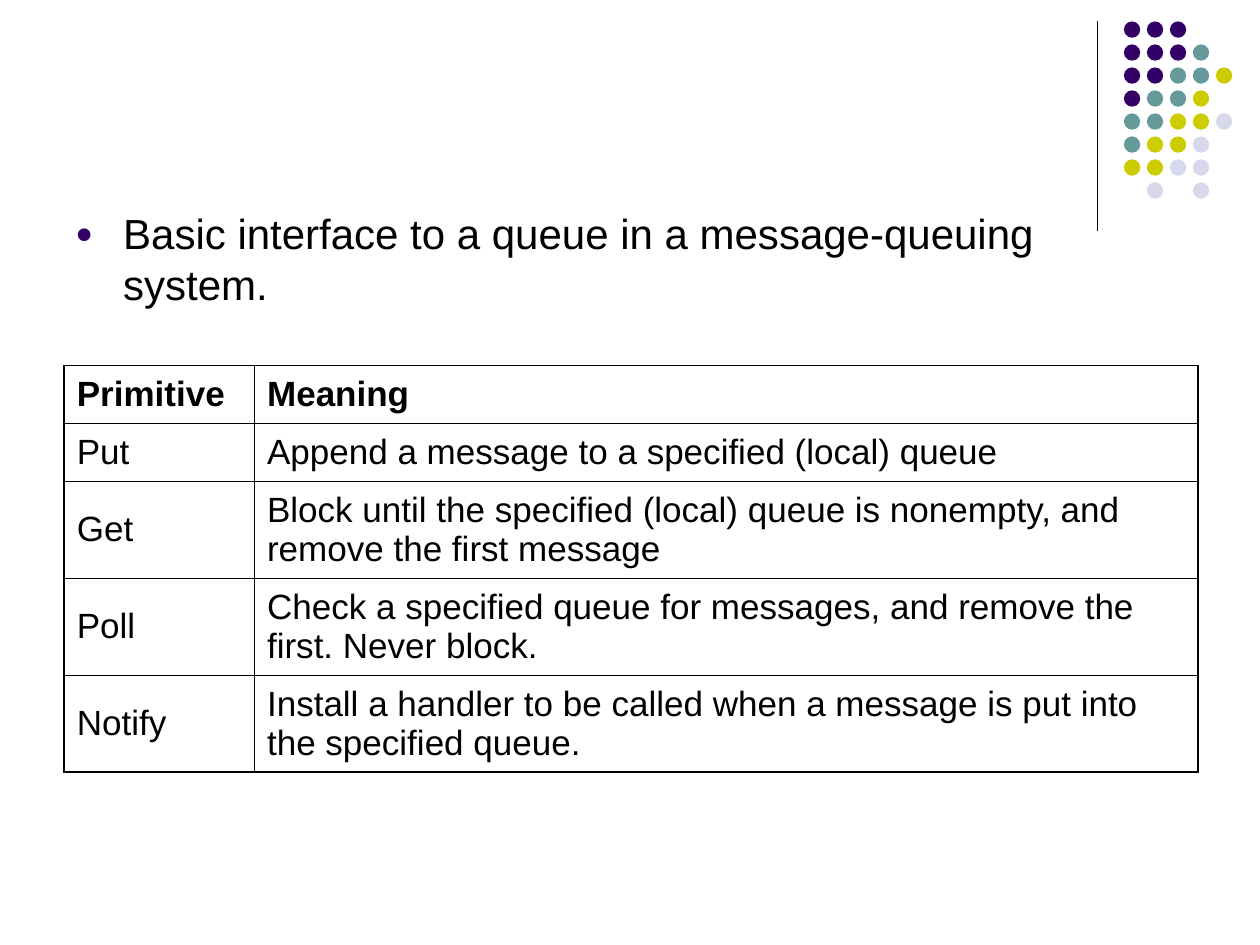
from lxml.etree import SubElement
from pptx import Presentation
from pptx.dml.color import RGBColor
from pptx.enum.shapes import MSO_CONNECTOR as Connector, MSO_SHAPE as Shape
from pptx.enum.text import MSO_ANCHOR as Anchor
from pptx.oxml.ns import qn
from pptx.util import Emu, Inches, Pt

COLORS = {"ink": "000000", "purple": "330066", "teal": "669999",
          "lime": "CCCC00", "lilac": "D8D8EC"}
FONT = "Arial"
DOT_COLORS = {"p": "purple", "t": "teal", "y": "lime", "l": "lilac"}
DOT_ROWS = ["ppp", "pppt", "pptty", "ptty", "ttyyl", "tyyl", "yyll", " l l"]
PRIMITIVES = [
    ("Primitive", "Meaning"),
    ("Put", "Append a message to a specified (local) queue"),
    ("Get", "Block until the specified (local) queue is nonempty, and remove the first message"),
    ("Poll", "Check a specified queue for messages, and remove the first. Never block."),
    ("Notify", "Install a handler to be called when a message is put into the specified queue."),
]
OUTER, INNER = Pt(1.08), Pt(0.45)


def color(name):
    return RGBColor.from_string(COLORS[name])


def style(paragraph, size, bold=False):
    for run in paragraph.runs:
        run.font.name = FONT
        run.font.size = Pt(size)
        run.font.bold = bold
        run.font.color.rgb = color("ink")


def add_ornament(slide, left, top, width, height):
    """Vertical rule at the left edge, with the dot grid to its right."""
    rule = slide.shapes.add_connector(Connector.STRAIGHT, left, top, left, top + height)
    rule.line.color.rgb = color("ink")
    rule.line.width = Pt(0.75)
    SubElement(rule._element.spPr, qn("a:effectLst"))

    dots = slide.shapes.add_group_shape()
    diameter = Inches(0.13)
    grid_left = left + Inches(0.21)
    pitch = (left + width - diameter - grid_left) / 4
    for row, codes in enumerate(DOT_ROWS):
        for column, code in enumerate(codes):
            if code == " ":
                continue
            dot = dots.shapes.add_shape(
                Shape.OVAL, Emu(int(grid_left + column * pitch)),
                Emu(int(top + row * pitch)), diameter, diameter)
            dot.shadow.inherit = False
            dot.fill.solid()
            dot.fill.fore_color.rgb = color(DOT_COLORS[code])
            dot.line.fill.background()


def add_statement(slide, left, top, width, height):
    frame = slide.shapes.add_textbox(left, top, width, height).text_frame
    frame.word_wrap = True
    statement = frame.paragraphs[0]
    statement.text = "Basic interface to a queue in a message-queuing system."
    properties = statement._p.get_or_add_pPr()
    indent = Inches(0.38)
    properties.set("marL", str(indent))
    properties.set("indent", str(-indent))
    bullet_color = SubElement(properties, qn("a:buClr"))
    SubElement(bullet_color, qn("a:srgbClr"), val=COLORS["purple"])
    SubElement(properties, qn("a:buSzPct"), val="70000")
    SubElement(properties, qn("a:buFont"), typeface=FONT)
    SubElement(properties, qn("a:buChar"), char="●")
    style(statement, 24)


def set_borders(cell, widths):
    properties = cell._tc.get_or_add_tcPr()
    for side, width in zip("LRTB", widths):
        border = SubElement(properties, qn(f"a:ln{side}"), w=str(width))
        fill = SubElement(border, qn("a:solidFill"))
        SubElement(fill, qn("a:srgbClr"), val=COLORS["ink"])


def add_primitives_table(slide, left, top, width, height):
    last_row, last_column = len(PRIMITIVES) - 1, len(PRIMITIVES[0]) - 1
    table = slide.shapes.add_table(
        last_row + 1, last_column + 1, left, top, width, height).table
    table.horz_banding = False
    name_width = Inches(1.51)
    table.columns[0].width = name_width
    table.columns[1].width = width - name_width
    for row, entry in enumerate(PRIMITIVES):
        table.rows[row].height = Inches(0.46 if row < 2 else 0.77)
        for column, wording in enumerate(entry):
            cell = table.cell(row, column)
            cell.text = wording
            cell.vertical_anchor = Anchor.MIDDLE
            style(cell.text_frame.paragraphs[0], 20, bold=row == 0)
            on_edge = (column == 0, column == last_column, row == 0, row == last_row)
            set_borders(cell, [OUTER if edge else INNER for edge in on_edge])
            cell.fill.background()


def main():
    deck = Presentation()
    deck.slide_width, deck.slide_height = Inches(10), Inches(7.5)
    slide = deck.slides.add_slide(deck.slide_layouts[6])
    add_ornament(slide, Inches(8.71), Inches(0.17), Inches(1.07), Inches(1.66))
    add_statement(slide, Inches(0.5), Inches(1.6), Inches(9), Inches(1.07))
    add_primitives_table(slide, Inches(0.51), Inches(2.9), Inches(9), Inches(3.23))
    deck.save("out.pptx")


if __name__ == "__main__":
    main()
